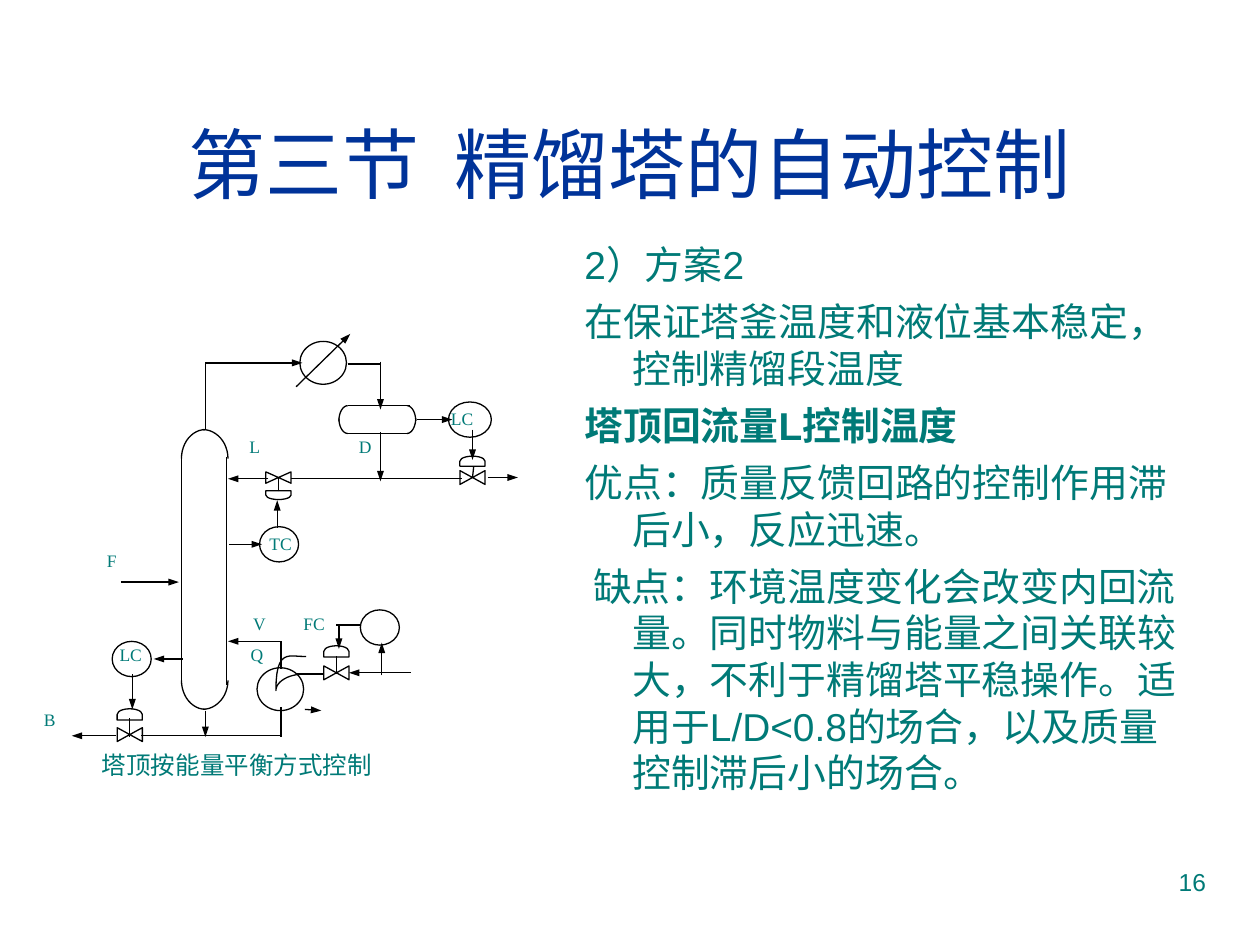
from lxml import etree
from pptx import Presentation
from pptx.dml.color import RGBColor
from pptx.enum import shapes as es, text as et
from pptx.oxml.ns import qn
from pptx.util import Inches, Pt

BLUE = RGBColor(0x00, 0x33, 0x99)
TEAL = RGBColor(0x00, 0x7A, 0x77)
BLACK = RGBColor(0, 0, 0)
WHITE = RGBColor(255, 255, 255)
KIND = es.MSO_SHAPE
ALIGN = et.PP_ALIGN

deck = Presentation()
deck.slide_width, deck.slide_height = Inches(10), Inches(7.5)
slide = deck.slides.add_slide(deck.slide_layouts[5])
items = slide.shapes


def part(kind, x, y, w, h, turn=0):
    shape = items.add_shape(kind, Inches(x), Inches(y), Inches(w), Inches(h))
    shape.rotation = turn
    shape.shadow.inherit = False
    shape.fill.solid()
    shape.fill.fore_color.rgb = WHITE
    shape.line.color.rgb = BLACK
    shape.line.width = Pt(0.75)


def curve(start, *legs):
    dots = []
    a = start
    for b, c, d in legs:
        for i in range(1, 13):
            t = i / 12
            s = 1 - t
            dots.append(tuple(
                Inches(s**3 * p + 3 * s * s * t * q + 3 * s * t * t * r + t**3 * e)
                for p, q, r, e in zip(a, b, c, d)))
        a = d
    path = items.build_freeform(Inches(start[0]), Inches(start[1]))
    path.add_line_segments(dots, close=False)
    shape = path.convert_to_shape()
    shape.shadow.inherit = False
    shape.fill.background()
    shape.line.color.rgb = BLACK
    shape.line.width = Pt(0.75)


title = items.title
title.left, title.top = Inches(0.33), Inches(0.67)
title.width, title.height = Inches(9.34), Inches(1.25)
frame = title.text_frame
frame.vertical_anchor = et.MSO_ANCHOR.MIDDLE
para = frame.paragraphs[0]
para.alignment = ALIGN.CENTER
run = para.add_run()
run.text = "第三节  精馏塔的自动控制"
run.font.size, run.font.name = Pt(44), "Arial"
run.font.color.rgb = BLUE

body = items.add_textbox(Inches(4.54), Inches(1.86), Inches(5.13), Inches(4.59))
frame = body.text_frame
frame.word_wrap = True
frame.margin_right = Inches(0.28)
points = [
    ("2）方案2", False),
    ("在保证塔釜温度和液位基本稳定，控制精馏段温度", False),
    ("塔顶回流量L控制温度", True),
    ("优点：质量反馈回路的控制作用滞后小，反应迅速。", False),
    (" 缺点：环境温度变化会改变内回流量。同时物料与能量之间关联较大，"
     "不利于精馏塔平稳操作。适用于L/D<0.8的场合，以及质量控制滞后小的场合。", False),
]
for i, (words, bold) in enumerate(points):
    para = frame.add_paragraph() if i else frame.paragraphs[0]
    props = para._p.get_or_add_pPr()
    props.set("marL", str(Inches(0.38)))
    props.set("indent", str(-Inches(0.38)))
    para.space_before = Pt(6 if i else 0)
    run = para.add_run()
    run.text = words
    run.font.size, run.font.name, run.font.bold = Pt(22.2), "Arial", bold
    run.font.color.rgb = TEAL

circles = [
    (3.56, 3.19, 0.34, 0.28), (2.06, 4.18, 0.31, 0.28),
    (2.38, 2.71, 0.37, 0.34), (2.04, 5.3, 0.37, 0.34),
    (2.86, 4.84, 0.31, 0.28), (0.89, 5.09, 0.31, 0.28),
]
for box in circles:
    part(KIND.OVAL, *box)

valves = [
    (2.21, 3.79, 0.09, 3.93, 0.07, 90), (3.75, 3.79, 0.11, 3.66, 0.08, 270),
    (1.03, 5.83, 0.11, 5.67, 0.09, 270), (2.67, 5.34, 0.11, 5.17, 0.09, 270),
]
for x, y, thick, top, cap, turn in valves:
    part(KIND.FLOWCHART_COLLATE, x - thick / 2, y - 0.1, thick, 0.2, 90)
    part(KIND.FLOWCHART_DELAY, x - cap / 2, top - 0.1, cap, 0.2, turn)

corners = [
    (2.76, 3.44, 2.69, 3.32), (2.76, 3.22, 2.69, 3.34),
    (3.23, 3.44, 3.3, 3.32), (3.23, 3.22, 3.3, 3.34),
    (1.63, 3.41, 1.44, 3.64), (1.61, 3.41, 1.81, 3.64),
    (1.63, 5.63, 1.44, 5.4), (1.61, 5.63, 1.81, 5.4),
]
for x, y, side, end in corners:
    curve((x, y), ((x + 0.55 * (side - x), y),
                   (side, end + 0.55 * (y - end)), (side, end)))
curve((2.41, 5.35),
      ((2.29, 5.35), (2.19, 5.41), (2.19, 5.48)),
      ((2.19, 5.15), (2.29, 5.21), (2.41, 5.21)),
      ((2.42, 5.21), (2.42, 5.21), (2.43, 5.21)))

pipes = [
    (2.21, 3.9, 2.21, 3.79), (3.76, 3.7, 3.75, 3.79),
    (2.75, 3.44, 3.24, 3.44), (2.76, 3.22, 3.25, 3.22),
    (1.44, 3.61, 1.44, 5.43), (1.8, 3.63, 1.8, 5.44),
    (2.23, 5.84, 1.12, 5.84), (2.23, 5.61, 2.23, 5.85),
    (2.23, 5.09, 2.23, 5.31), (2.57, 5.35, 2.36, 5.35),
    (1.63, 2.89, 1.63, 3.41), (2.76, 2.89, 3.02, 2.89),
    (2.31, 3.8, 3.67, 3.8), (1.03, 5.85, 1.03, 5.7),
    (2.67, 5.35, 2.67, 5.21), (2.67, 4.96, 2.86, 4.96),
]
flows = [
    (3.75, 3.41, 3.75, 3.65), (3.31, 3.33, 3.59, 3.33),
    (2.2, 4.19, 2.2, 3.97), (1.63, 5.64, 1.63, 5.85),
    (0.96, 4.62, 1.42, 4.62), (2.23, 5.09, 1.81, 5.09),
    (0.92, 5.84, 0.57, 5.84), (2.42, 5.63, 2.55, 5.64),
    (1.63, 2.88, 2.4, 2.88), (2.35, 3.07, 2.78, 2.65),
    (3.02, 2.87, 3.02, 3.25), (3.02, 3.43, 3.02, 3.82),
    (2.13, 3.8, 1.81, 3.8), (3.87, 3.79, 4.11, 3.79),
    (3.26, 5.34, 2.77, 5.34), (1.05, 5.35, 1.05, 5.63),
    (2.69, 4.96, 2.69, 5.15), (3.03, 5.36, 3.03, 5.1),
    (1.45, 5.23, 1.22, 5.23), (1.82, 4.32, 2.08, 4.32),
]
for i, ends in enumerate(pipes + flows):
    wire = items.add_connector(es.MSO_CONNECTOR.STRAIGHT, *map(Inches, ends))
    wire.line.color.rgb = BLACK
    wire.line.width = Pt(0.75)
    if i >= len(pipes):
        tip = etree.SubElement(wire.line._get_or_add_ln(), qn("a:tailEnd"))
        tip.set("type", "triangle")
        tip.set("w", "sm")
    etree.SubElement(wire._element.spPr, qn("a:effectLst"))

ROMAN = "Times New Roman"
labels = [
    ("L", 1.88, 3.41, 0.45, 0.32, 10, ROMAN, ALIGN.JUSTIFY),
    ("D", 2.75, 3.41, 0.45, 0.32, 10, ROMAN, ALIGN.JUSTIFY),
    ("TC", 2.04, 4.18, 0.52, 0.41, 10, ROMAN, ALIGN.JUSTIFY),
    ("LC", 3.48, 3.19, 0.52, 0.43, 10, ROMAN, ALIGN.JUSTIFY),
    ("V", 1.91, 4.82, 0.45, 0.37, 10, ROMAN, ALIGN.JUSTIFY),
    ("FC", 2.31, 4.82, 0.52, 0.37, 10, ROMAN, ALIGN.JUSTIFY),
    ("F", 0.75, 4.32, 0.45, 0.36, 10, ROMAN, ALIGN.JUSTIFY),
    ("LC", 0.85, 5.06, 0.52, 0.37, 10, ROMAN, ALIGN.JUSTIFY),
    ("Q", 1.89, 5.06, 0.45, 0.37, 10, ROMAN, ALIGN.JUSTIFY),
    ("塔顶按能量平衡方式控制", 0.71, 5.9, 3.12, 0.37, 14, ROMAN, ALIGN.JUSTIFY),
    ("B", 0.25, 5.58, 0.51, 0.37, 10, ROMAN, ALIGN.JUSTIFY),
    ("16", 7.17, 6.83, 2.5, 0.52, 14, "Arial", ALIGN.RIGHT),
]
for words, x, y, w, h, size, face, side in labels:
    box = items.add_textbox(Inches(x), Inches(y), Inches(w), Inches(h))
    box.text_frame.word_wrap = True
    para = box.text_frame.paragraphs[0]
    para.alignment = side
    run = para.add_run()
    run.text = words
    run.font.size, run.font.name = Pt(size), face
    run.font.color.rgb = TEAL

deck.save("out.pptx")
